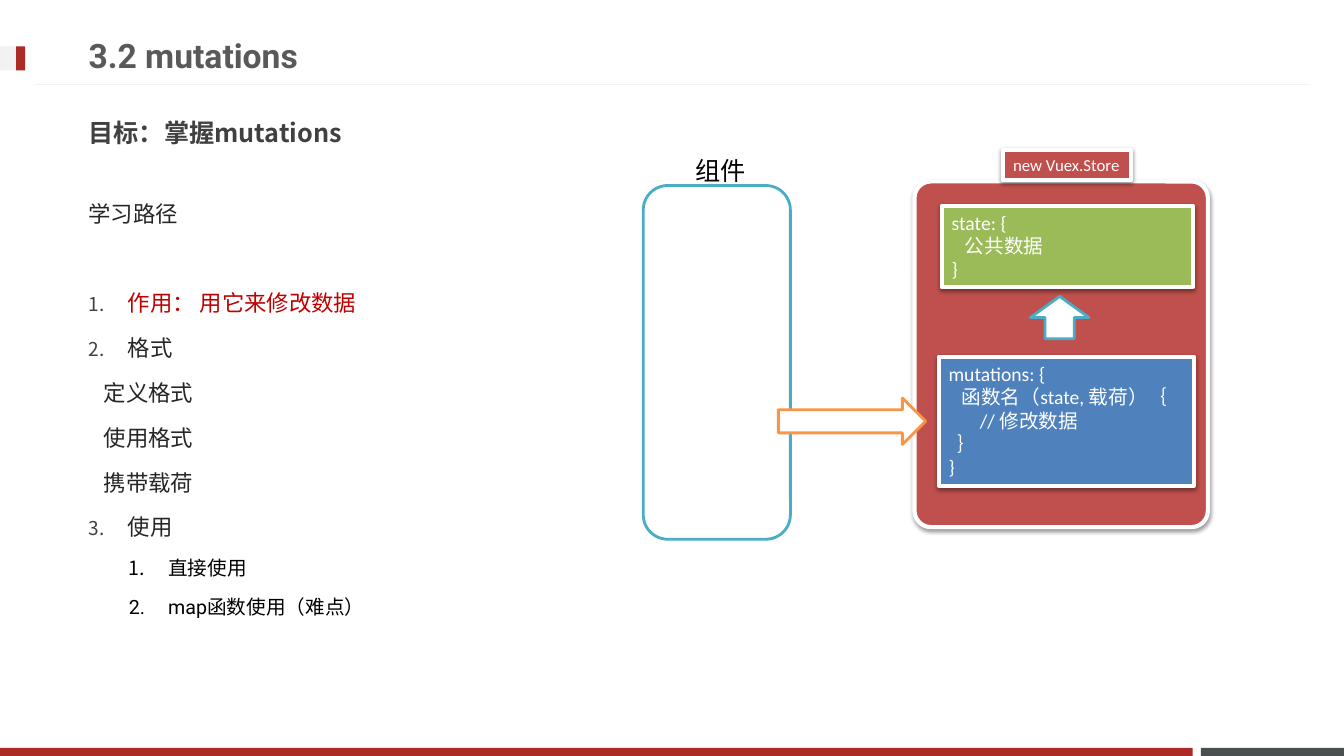
import dataclasses
import typing

import lxml.etree
import pptx
import pptx.dml.color
import pptx.enum.shapes
import pptx.enum.text
import pptx.oxml.ns
import pptx.util

Inches = pptx.util.Inches
Pt = pptx.util.Pt
Kind = pptx.enum.shapes.MSO_SHAPE
Anchor = pptx.enum.text.MSO_ANCHOR
qn = pptx.oxml.ns.qn


@dataclasses.dataclass(frozen=True)
class Theme:
    white: str = "FFFFFF"
    black: str = "000000"
    pale: str = "F2F2F2"
    brand: str = "AD2B26"
    slate: str = "49504F"
    title: str = "595959"
    heading: str = "404040"
    body: str = "262626"
    accent: str = "C00000"
    store: str = "C0504D"
    state: str = "9BBB59"
    mutations: str = "4F81BD"
    teal: str = "4BACC6"
    orange: str = "F79646"
    title_size: int = 24
    heading_size: int = 18
    body_size: int = 16
    small_size: int = 14
    label_size: int = 12
    cjk: str = "Noto Sans CJK JP"
    display: str = "Roboto"
    code: str = "Calibri"


THEME = Theme()


@dataclasses.dataclass(frozen=True)
class Frame:
    left: float
    top: float
    width: float
    height: float


@dataclasses.dataclass(frozen=True)
class Line:
    text: str
    indent: float = 0
    size: int = THEME.body_size
    font: str = THEME.cjk
    color: str = THEME.body
    bold: bool = False
    leading: float = 0
    before: float = 0
    number: int = 0
    level: int = 0


@dataclasses.dataclass(frozen=True)
class Block:
    frame: Frame
    fill: str
    kind: Kind = Kind.RECTANGLE
    outline: str = ""
    outline_width: float = 2
    corner: float = 0
    rotation: float = 0
    shadow: bool = False
    lines: tuple[Line, ...] = ()


def add_child(parent: typing.Any, tag: str, **attributes: object) -> typing.Any:
    values = {name: str(value) for name, value in attributes.items()}
    return lxml.etree.SubElement(parent, qn(tag), values)


def rgb(color: str) -> pptx.dml.color.RGBColor:
    return pptx.dml.color.RGBColor.from_string(color)


def place(frame: Frame) -> tuple[int, int, int, int]:
    return Inches(frame.left), Inches(frame.top), Inches(frame.width), Inches(frame.height)


def number_paragraph(para: typing.Any, line: Line) -> None:
    properties = para._p.get_or_add_pPr()
    properties.set("indent", str(Inches(-0.39)))
    if line.level == 0:
        bullet_color = add_child(properties, "a:buClr")
        add_child(bullet_color, "a:srgbClr", val=THEME.heading)
        add_child(properties, "a:buSzPct", val=85000)
    add_child(properties, "a:buAutoNum", type="arabicPeriod", startAt=line.number)


def write_lines(text_frame: typing.Any, lines: tuple[Line, ...], anchor: Anchor) -> None:
    text_frame.word_wrap = True
    text_frame.vertical_anchor = anchor
    text_frame.text = "\n".join(line.text for line in lines)
    for para, line in zip(text_frame.paragraphs, lines):
        para.alignment = pptx.enum.text.PP_ALIGN.LEFT
        para.level = line.level
        para.space_before = Pt(line.before)
        if line.leading:
            para.line_spacing = Pt(line.leading)
        para._p.get_or_add_pPr().set("marL", str(Inches(line.indent)))
        if line.number:
            number_paragraph(para, line)
        for span in para.runs:
            span.font.size = Pt(line.size)
            span.font.bold = line.bold
            span.font.name = line.font
            span.font.color.rgb = rgb(line.color)
            add_child(span._r.get_or_add_rPr(), "a:ea", typeface=THEME.cjk)


def add_text(page: typing.Any, frame: Frame, lines: tuple[Line, ...],
             anchor: Anchor = Anchor.TOP) -> None:
    box = page.shapes.add_textbox(*place(frame))
    write_lines(box.text_frame, lines, anchor)


def add_soft_shadow(shape: typing.Any) -> None:
    effects = shape._element.spPr.find(qn("a:effectLst"))
    shadow = add_child(effects, "a:outerShdw", blurRad=Pt(3.1), dist=Pt(1.6),
                       dir=5400000, rotWithShape=0)
    add_child(add_child(shadow, "a:srgbClr", val=THEME.black), "a:alpha", val=38000)


def add_block(page: typing.Any, block: Block) -> None:
    shape = page.shapes.add_shape(block.kind, *place(block.frame))
    shape.rotation = block.rotation
    shape.fill.solid()
    shape.fill.fore_color.rgb = rgb(block.fill)
    if block.corner:
        shape.adjustments[0] = block.corner
    if block.outline:
        shape.line.color.rgb = rgb(block.outline)
        shape.line.width = Pt(block.outline_width)
    else:
        shape.line.fill.background()
    shape.shadow.inherit = False
    if block.shadow:
        add_soft_shadow(shape)
    if block.lines:
        write_lines(shape.text_frame, block.lines, Anchor.TOP)


def add_title_rule(page: typing.Any) -> None:
    rule = page.shapes.add_connector(pptx.enum.shapes.MSO_CONNECTOR.STRAIGHT,
                                     Inches(12.98), Inches(0.84), Inches(0.35), Inches(0.84))
    rule.line.color.rgb = rgb(THEME.pale)
    rule.line.width = Pt(0.75)
    add_child(rule._element.spPr, "a:effectLst")


def topic(text: str, gap: float = 0, **options: typing.Any) -> Line:
    """Line of the learning path, with leading and spacing in step with its size."""
    size = options.get("size", THEME.body_size)
    return Line(text, leading=1.8 * size, before=0.2 * size + gap, **options)


def step(text: str, number: int, **options: typing.Any) -> Line:
    return topic(text, number=number, indent=0.39, **options)


def substep(text: str, number: int) -> Line:
    return topic(text, number=number, indent=0.79, level=1, size=THEME.small_size,
                 font=THEME.display, color=THEME.black)


def code(text: str, indent: float = 0) -> Line:
    return Line(text, indent, THEME.small_size, THEME.code, THEME.white, leading=16.7)


def store_block(frame: Frame, fill: str, *lines: Line, **options: typing.Any) -> Block:
    return Block(frame, fill, outline=THEME.white, outline_width=3, shadow=True,
                 lines=lines, **options)


DECORATION = (
    Block(Frame(11.91, 7.42, 1.42, 0.08), THEME.slate),
    Block(Frame(0, 7.42, 11.83, 0.08), THEME.brand),
    Block(Frame(0, 0.46, 0.25, 0.24), THEME.pale),
    Block(Frame(0.16, 0.46, 0.09, 0.24), THEME.brand),
)
LEARNING_PATH = (
    topic("学习路径"),
    step("作用： 用它来修改数据", 1, gap=32, color=THEME.accent),
    step("格式", 2),
    *(topic(text, indent=0.15) for text in ("定义格式", "使用格式", "携带载荷")),
    step("使用", 3),
    substep("直接使用", 1),
    substep("map函数使用（难点）", 2),
)
DIAGRAM = (
    store_block(Frame(9.07, 1.8, 2.91, 3.43), THEME.store,
                kind=Kind.ROUNDED_RECTANGLE, corner=0.056),
    store_block(Frame(9.34, 2.04, 2.49, 0.81), THEME.state,
                code("state: {"), code("公共数据", 0.13), code("}")),
    store_block(Frame(9.31, 3.54, 2.53, 1.28), THEME.mutations,
                code("mutations: {"), code("函数名（state, 载荷）｛", 0.13),
                code("// 修改数据", 0.31), code("｝", 0.09), code("}")),
    store_block(Frame(9.95, 1.49, 1.27, 0.3), THEME.store,
                Line("new Vuex.Store", 0, THEME.label_size, THEME.code, THEME.white)),
    Block(Frame(10.22, 2.94, 0.58, 0.42), THEME.white, Kind.UP_ARROW, THEME.teal),
    Block(Frame(6.38, 1.84, 1.46, 3.51), THEME.white, Kind.ROUNDED_RECTANGLE, THEME.teal),
    Block(Frame(8.22, 3.45, 0.46, 1.46), THEME.white, Kind.UP_ARROW, THEME.orange, rotation=90),
)


def main() -> None:
    deck = pptx.Presentation()
    deck.slide_width, deck.slide_height = Inches(13.33), Inches(7.5)
    page = deck.slides.add_slide(deck.slide_layouts[6])
    for block in DECORATION:
        add_block(page, block)
    add_title_rule(page)
    add_text(page, Frame(0.78, 1.8, 11.72, 4.61), LEARNING_PATH)
    add_text(page, Frame(0.78, 0.26, 9.59, 0.57), (
        Line("3.2 mutations", 0, THEME.title_size, THEME.display, THEME.title, True),
    ), Anchor.MIDDLE)
    add_text(page, Frame(0.78, 1.03, 11.72, 0.57), (
        Line("目标：掌握mutations", 0, THEME.heading_size, THEME.cjk, THEME.heading, True),
    ), Anchor.MIDDLE)
    for block in DIAGRAM:
        add_block(page, block)
    add_text(page, Frame(6.8, 1.49, 0.86, 0.4), (
        Line("组件", 0, THEME.heading_size, THEME.code, THEME.black, leading=21.6),
    ))
    deck.save("out.pptx")


if __name__ == "__main__":
    main()
